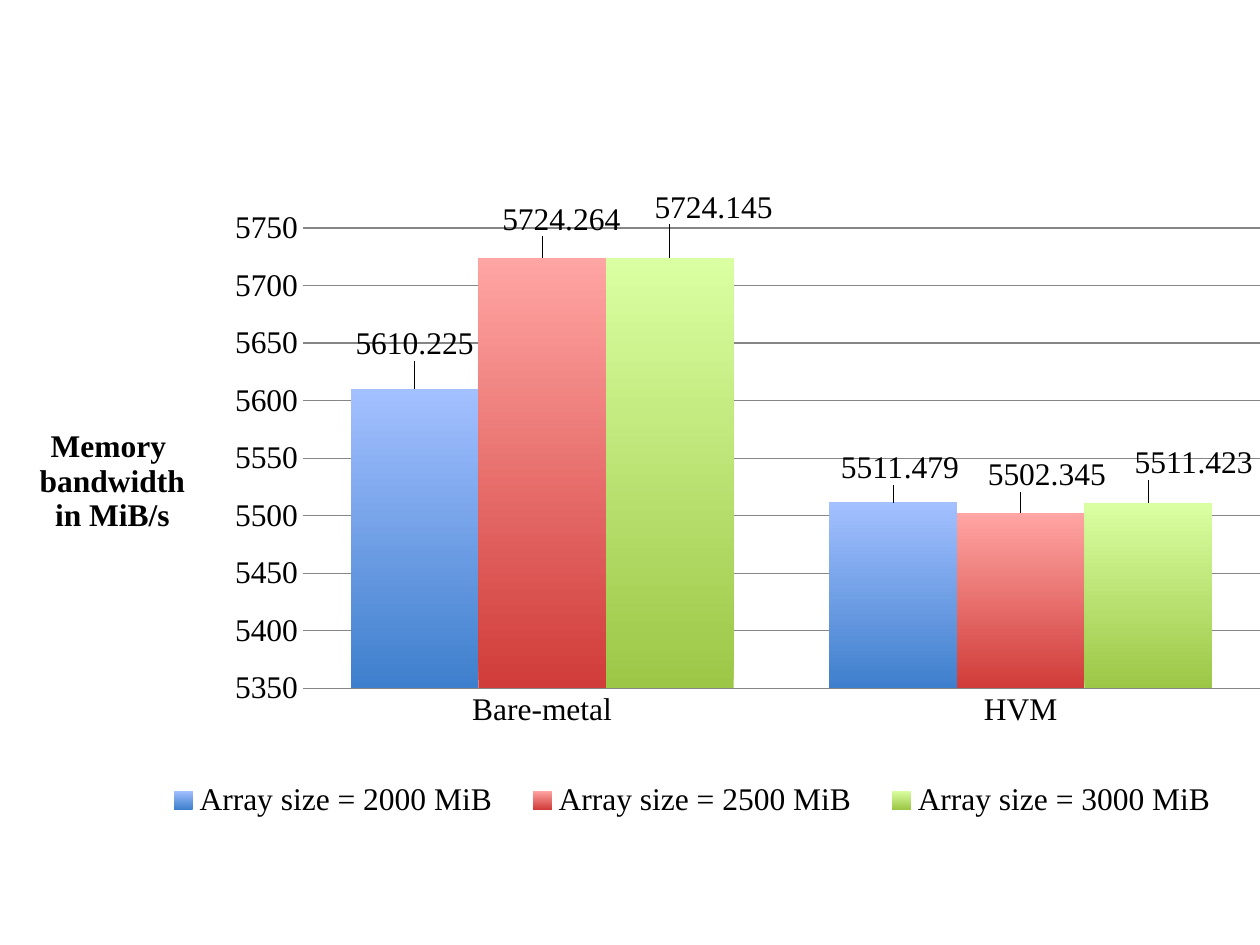
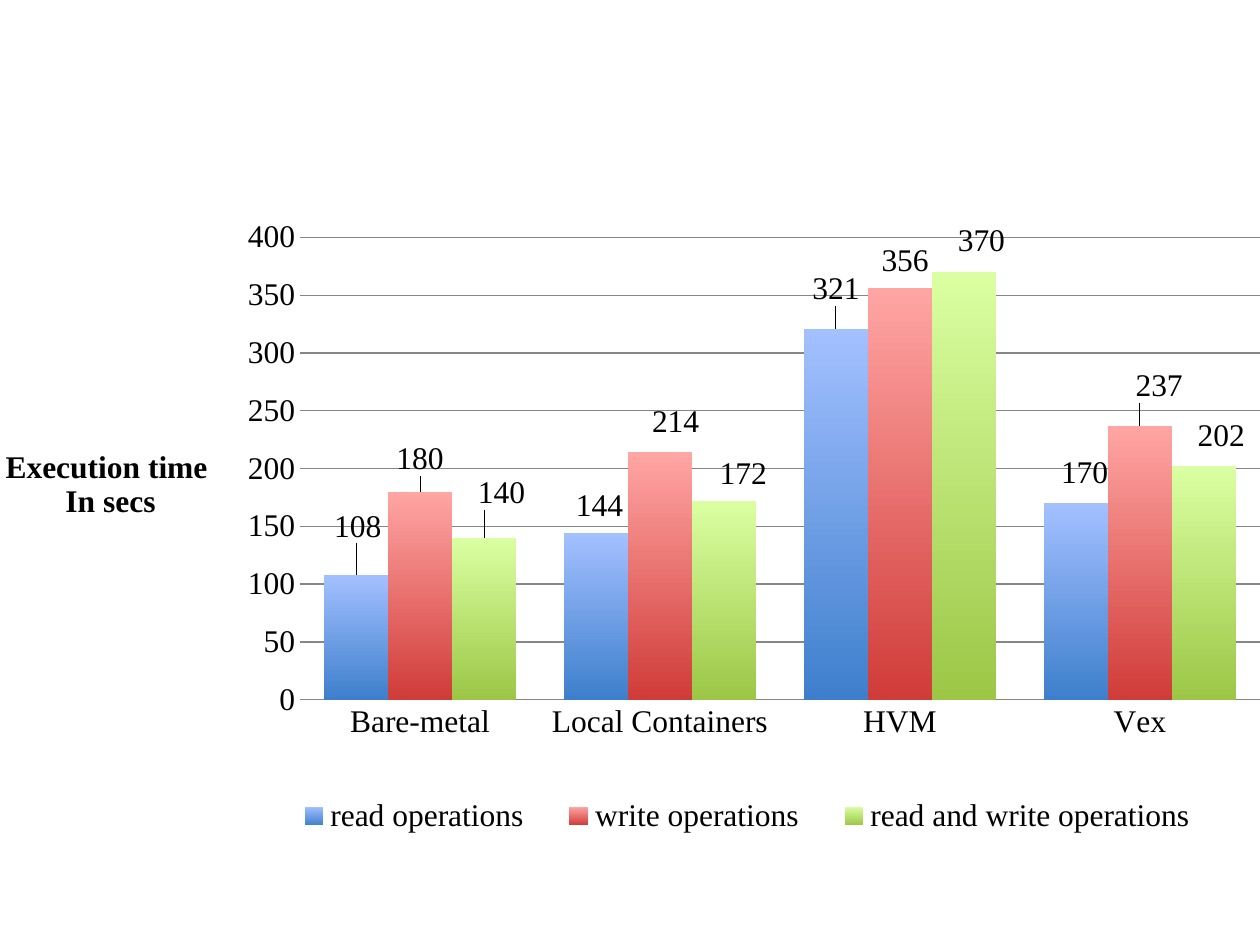
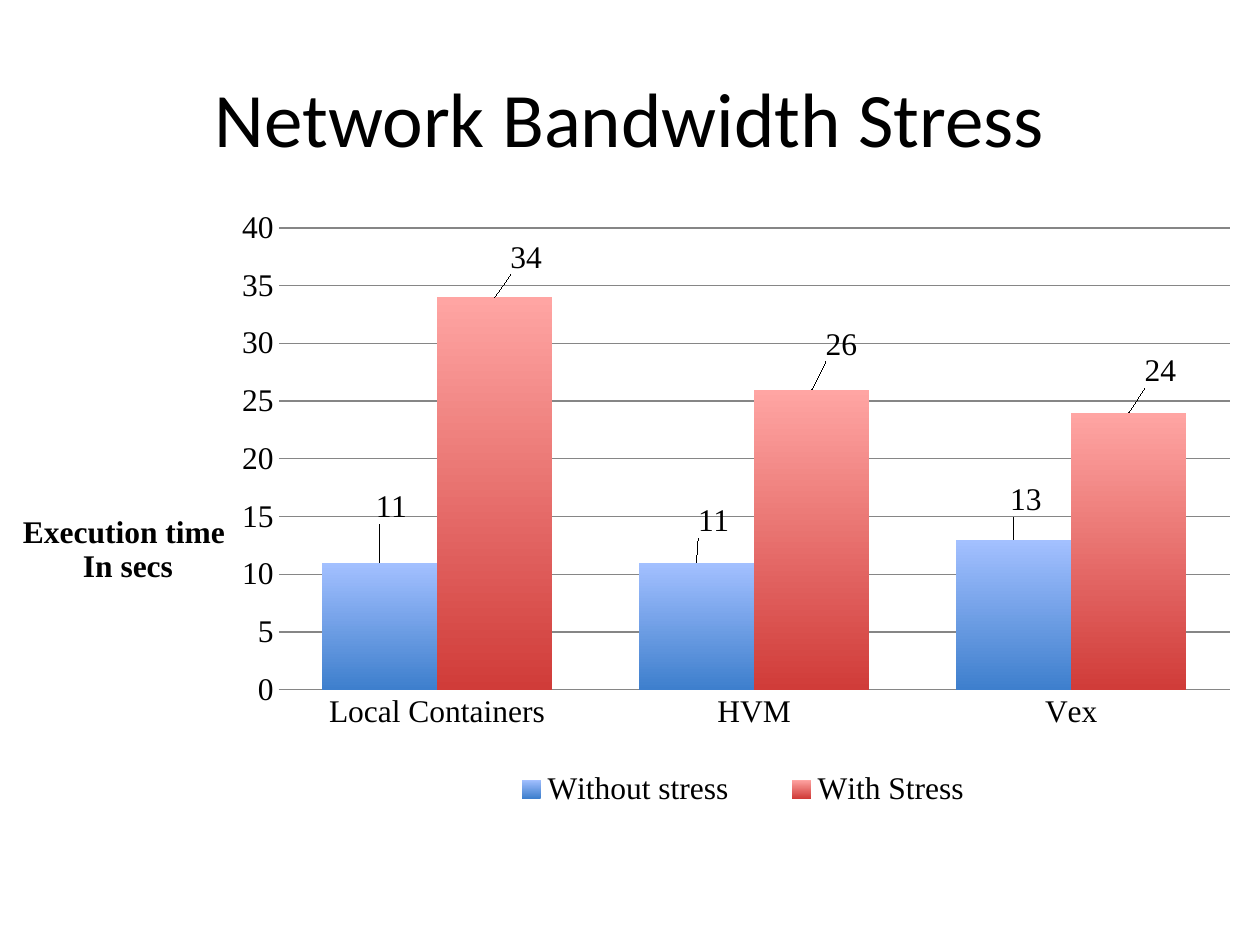
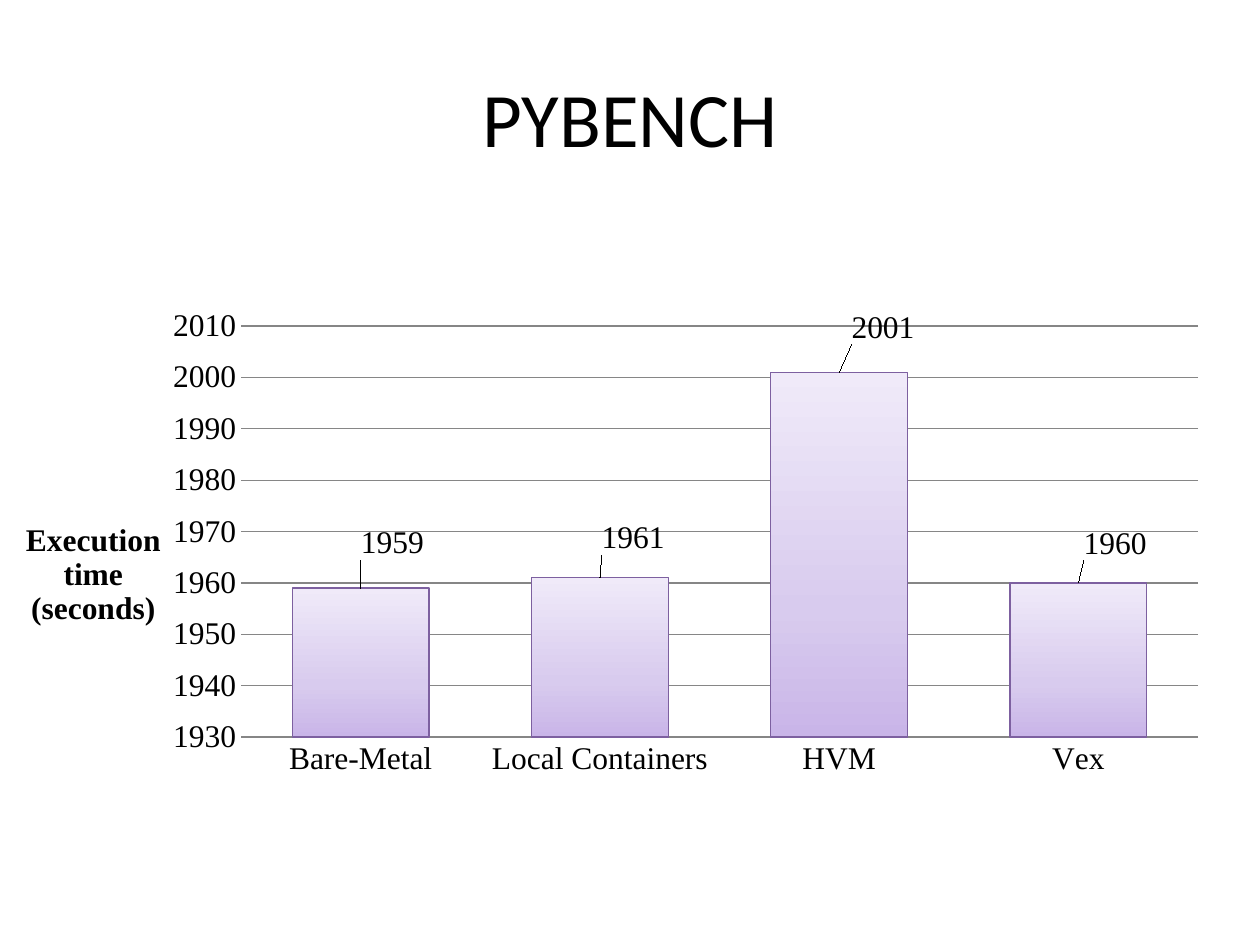
from copy import deepcopy
from lxml.etree import SubElement
from pptx import Presentation
from pptx.chart.data import CategoryChartData
from pptx.dml.color import RGBColor
from pptx.enum.chart import (XL_CHART_TYPE, XL_LABEL_POSITION,
                             XL_LEGEND_POSITION, XL_TICK_MARK)
from pptx.enum.text import MSO_ANCHOR, PP_ALIGN
from pptx.oxml.ns import qn
from pptx.util import Pt

BLACK, GRAY, EDGE = "000000", "868686", "7D60A0"
BLUE = [(0, "3E7FCD"), (1, "A3C0FF")]
RED = [(0, "D03C39"), (1, "FFA5A3")]
GREEN = [(0, "9CC746"), (1, "DAFFA2")]
LILAC = [(0, "C9B5E8"), (0.35, "D8CBEE"), (1, "F0EAF9")]
SERIF, SANS = "Times New Roman", "Calibri"
TIME = ["Execution time ", "In secs"]
HOSTS = ["Local Containers", "HVM", "Vex"]


def color(code):
    """Turn a hex string into a colour."""
    return RGBColor.from_string(code)


def style(font, face, size, bold=False):
    """Set the face, size and weight of black text."""
    font.name, font.size, font.bold = face, Pt(size), bold
    font.color.rgb = color(BLACK)


def lay(node, after=None, target=None, fixed=True, **parts):
    """Give a chart part a manual layout, in fractions of the chart."""
    for old in node.findall(qn("c:layout")):
        node.remove(old)
    frame = SubElement(node, qn("c:layout"))
    if after:
        node.find(qn(after)).addnext(frame)
    else:
        node.insert(0, frame)
    rules = SubElement(frame, qn("c:manualLayout"))
    if target:
        SubElement(rules, qn("c:layoutTarget")).set("val", target)
    if fixed:
        for mode in ("c:xMode", "c:yMode"):
            SubElement(rules, qn(mode)).set("val", "edge")
    for key, value in parts.items():
        SubElement(rules, qn(f"c:{key}")).set("val", f"{value:.4f}")


def paint(fill, node, stops):
    """Fill a series with an upward gradient."""
    fill.gradient()
    fill.gradient_angle = 90
    shades = next(node.iter(qn("a:gsLst")))
    while len(shades) < len(stops):
        shades.append(deepcopy(shades[0]))
    for stop, (place, code) in zip(fill.gradient_stops, stops):
        stop.position = place
        stop.color.rgb = color(code)


def add_title(slide, text):
    """Write the slide title in its placeholder."""
    title = slide.shapes.title
    title.left, title.top, title.width, title.height = map(Pt, (36, 21.6, 648, 90))
    frame = title.text_frame
    frame.vertical_anchor = MSO_ANCHOR.MIDDLE
    line = frame.paragraphs[0]
    line.alignment = PP_ALIGN.CENTER
    run = line.add_run()
    run.text = text
    style(run.font, SANS, 44)


def set_axes(chart, scale, lines, spot, box):
    """Format both axes and place the level axis title."""
    low, high, step = scale
    base, axis = chart.category_axis, chart.value_axis
    for side in (base, axis):
        side.major_tick_mark = side.minor_tick_mark = XL_TICK_MARK.NONE
    base.format.line.color.rgb = color(GRAY)
    axis.minimum_scale, axis.maximum_scale, axis.major_unit = low, high, step
    axis.format.line.fill.background()
    grid = axis.major_gridlines.format.line
    grid.color.rgb, grid.width = color(GRAY), Pt(0.75)
    head = axis.axis_title
    frame = head.text_frame
    for i, text in enumerate(lines):
        line = frame.add_paragraph() if i else frame.paragraphs[0]
        line.alignment = PP_ALIGN.CENTER
        run = line.add_run()
        run.text = text
        style(run.font, SERIF, 18, True)
    body = next(head._element.iter(qn("a:bodyPr")))
    body.set("rot", "0")
    body.set("vert", "horz")
    lay(head._element, "c:tx", x=spot[0] / box[2], y=spot[1] / box[3])


def set_bars(series, stops, shifts, box, edge):
    """Paint the bars of a series and shift their labels."""
    series.smooth = False
    series.invert_if_negative = False
    paint(series.format.fill, series._element, stops)
    if edge:
        series.format.line.color.rgb = color(edge)
        series.format.line.width = Pt(0.75)
    labels = series.data_labels
    labels.show_value = True
    labels.position = XL_LABEL_POSITION.OUTSIDE_END
    style(labels.font, SERIF, 18)
    for i, (right, down) in enumerate(shifts):
        label = series.points[i].data_label
        label.position = XL_LABEL_POSITION.OUTSIDE_END
        style(label.font, SERIF, 18)
        node = list(series._element.iter(qn("c:dLbl")))[-1]
        lay(node, "c:idx", fixed=False, x=right / box[2], y=down / box[3])


def add_bars(slide, box, groups, rows, scale, lines, spot, plot, key=None, edge=None):
    """Draw a bar chart in a box, with all its parts placed inside it."""
    data = CategoryChartData()
    data.categories = groups
    for name, values, *rest in rows:
        data.add_series(name, values)
    chart = slide.shapes.add_chart(
        XL_CHART_TYPE.COLUMN_CLUSTERED, *map(Pt, box), data).chart
    chart.has_title = False
    style(chart.font, SERIF, 18)
    bars = chart.plots[0]
    bars.gap_width, bars.overlap, bars.vary_by_categories = 75, 0, False
    set_axes(chart, scale, lines, spot, box)
    for series, (name, values, stops, shifts) in zip(bars.series, rows):
        set_bars(series, stops, shifts, box, edge)
    area = next(chart._chartSpace.iter(qn("c:plotArea")))
    lay(area, target="inner", x=plot[0], y=plot[1], w=0.758, h=0.592)
    chart.has_legend = bool(key)
    if key:
        legend = chart.legend
        legend.position = XL_LEGEND_POSITION.BOTTOM
        legend.include_in_layout = False
        style(legend.font, SERIF, 18)
        left, top, wide = key
        lay(legend._element, "c:legendPos", x=left / box[2], y=top / box[3],
            w=wide / box[2], h=24 / box[3])


def add_memory(slide):
    """Compare memory bandwidth by array size."""
    rows = [
        ("Array size = 2000 MiB", (5610.225, 5511.479), BLUE, [(0, -13), (4, -7)]),
        ("Array size = 2500 MiB", (5724.264, 5502.345), RED, [(11, -9), (15, -9)]),
        ("Array size = 3000 MiB", (5724.145, 5511.423), GREEN, [(25, -16), (26, -10)]),
    ]
    add_bars(slide, (0, 71.3, 721.4, 444.2), ["Bare-metal", "HVM"], rows,
             (5350, 5750, 50), ["Memory", " bandwidth", " in MiB/s"],
             (16, 171), (0.24, 0.133), (82, 374, 627))


def add_disk(slide):
    """Compare the times of read and write operations."""
    rows = [
        ("read operations", (108, 144, 321, 170), BLUE,
         [(1, -15), (2, -3), (0, -10), (5, -5)]),
        ("write operations", (180, 214, 356, 237), RED,
         [(0, -6), (9, -5), (3, -3), (11, -10)]),
        ("read and write operations", (140, 172, 370, 202), GREEN,
         [(10, -13), (11, -3), (10, -5), (10, -5)]),
    ]
    add_bars(slide, (0, 76.3, 723.6, 446.4), ["Bare-metal"] + HOSTS, rows,
             (0, 400, 50), TIME, (1, 178), (0.237, 0.133), (154, 378, 546))


def add_stress(slide):
    """Compare times with and without network stress."""
    add_title(slide, "Network Bandwidth Stress")
    rows = [
        ("Without stress", (11, 11, 13), BLUE, [(7, -19), (10, -11), (7, -10)]),
        ("With Stress", (34, 26, 24), RED, [(18, -10), (17, -13), (18, -11)]),
    ]
    add_bars(slide, (0, 67, 717.1, 445.7), HOSTS, rows,
             (0, 40, 5), TIME, (11, 224), (0.222, 0.142), (268, 372, 313))


def add_bench(slide):
    """Compare benchmark times across hosts."""
    add_title(slide, "PYBENCH")
    rows = [("Series 1", (1959, 1961, 2001, 1960), LILAC,
             [(18, -13), (19, -10), (25, -13), (21, -10)])]
    add_bars(slide, (-1.4, 128.9, 721.4, 396.7), ["Bare-Metal"] + HOSTS, rows,
             (1930, 2010, 10), ["Execution", "time", "(seconds)"],
             (14, 167), (0.193, 0.145), edge=EDGE)


def main():
    """Build the deck and save it."""
    deck = Presentation()
    deck.slide_width, deck.slide_height = Pt(720), Pt(540)
    titled, blank = deck.slide_layouts[5], deck.slide_layouts[6]
    for build, layout in ((add_memory, blank), (add_disk, blank),
                          (add_stress, titled), (add_bench, titled)):
        build(deck.slides.add_slide(layout))
    deck.save("out.pptx")


if __name__ == "__main__":
    main()
